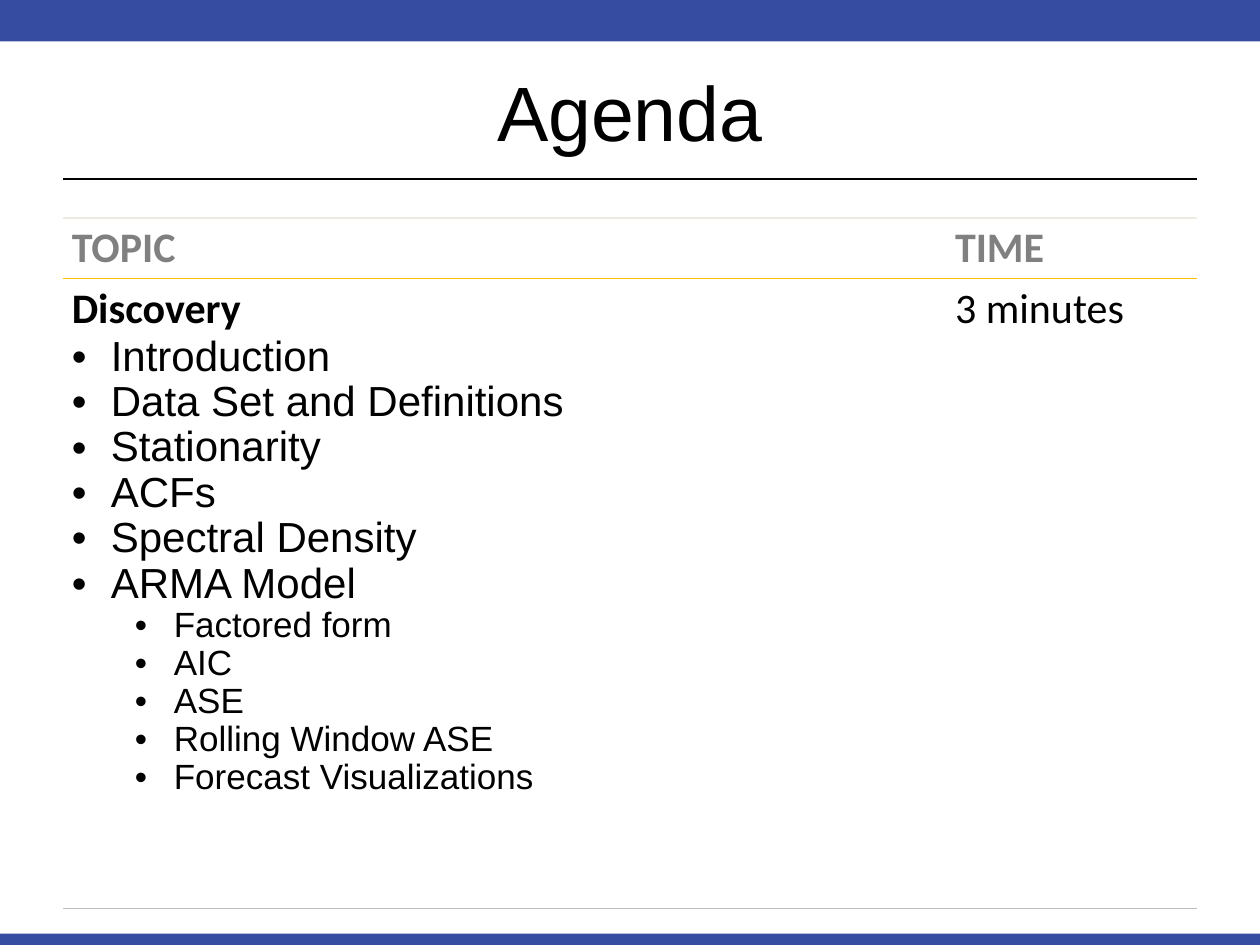
from typing import NamedTuple

from lxml.etree import SubElement
from pptx import Presentation
from pptx.dml.color import RGBColor
from pptx.enum.shapes import MSO_CONNECTOR as Conn, MSO_SHAPE as Shape
from pptx.enum.text import MSO_ANCHOR as Anchor, PP_ALIGN as Align
from pptx.oxml import parse_xml
from pptx.oxml.ns import nsdecls, qn
from pptx.util import Inches, Pt

BLUE, BLACK, GREY = "354CA1", "000000", "808080"
GOLD, CREAM, SILVER = "FFC000", "EEECE1", "BFBFBF"
PLAIN = "{2D5ABB26-0587-4C30-8999-92F81FD0307C}"
LEFT, WIDTH = 0.5, 9


class Bar(NamedTuple):
    top: float
    height: float


class Line(NamedTuple):
    text: str
    size: int = 24
    font: str = "Arial"
    color: str = BLACK
    bold: bool = False
    level: int = 0
    bullet: bool = False


class Row(NamedTuple):
    height: float
    cells: list[list[Line]]
    above: str
    below: str


def rgb(code: str) -> RGBColor:
    return RGBColor.from_string(code)


def add_bar(slide, bar: Bar) -> None:
    rect = slide.shapes.add_shape(
        Shape.RECTANGLE, 0, Inches(bar.top), Inches(10), Inches(bar.height))
    rect.shadow.inherit = False
    rect.fill.solid()
    rect.fill.fore_color.rgb = rgb(BLUE)
    rect.line.fill.background()


def add_rule(slide, top: float) -> None:
    rule = slide.shapes.add_connector(
        Conn.STRAIGHT, Inches(LEFT), Inches(top), Inches(LEFT + WIDTH), Inches(top))
    rule.line.color.rgb = rgb(BLACK)
    rule.line.width = Pt(1.25)
    SubElement(rule._element.spPr, qn("a:effectLst"))


def write(para, line: Line) -> None:
    para.text = line.text
    font = para.runs[0].font
    font.size, font.name, font.bold = Pt(line.size), line.font, line.bold
    font.color.rgb = rgb(line.color)
    if line.bullet:
        para.level = line.level
        para.line_spacing = 0.97
        props = para._p.get_or_add_pPr()
        props.set("marL", str(Inches(0.31 + 0.5 * line.level)))
        props.set("indent", str(Inches(-0.31)))
        SubElement(props, qn("a:buFont")).set("typeface", "Arial")
        SubElement(props, qn("a:buChar")).set("char", "•")


def fill_text(frame, lines: list[Line]) -> None:
    for i, line in enumerate(lines):
        write(frame.add_paragraph() if i else frame.paragraphs[0], line)


def add_title(slide, line: Line) -> None:
    box = slide.shapes.add_textbox(
        Inches(LEFT), Inches(0.25), Inches(WIDTH), Inches(1.25))
    frame = box.text_frame
    frame.word_wrap = True
    frame.vertical_anchor = Anchor.MIDDLE
    fill_text(frame, [line])
    frame.paragraphs[0].alignment = Align.CENTER


def set_edges(cell, above: str, below: str) -> None:
    props = cell._tc.get_or_add_tcPr()
    for i, (tag, color) in enumerate((("lnT", above), ("lnB", below))):
        props.insert(i, parse_xml(
            f'<a:{tag} {nsdecls("a")} w="{Pt(1)}"><a:solidFill>'
            f'<a:srgbClr val="{color}"/></a:solidFill></a:{tag}>'))


def add_grid(slide, top: float, cols: list[float], rows: list[Row]) -> None:
    height = sum(row.height for row in rows)
    grid = slide.shapes.add_table(
        len(rows), len(cols), Inches(LEFT), Inches(top),
        Inches(WIDTH), Inches(height)).table
    grid.first_row = grid.horz_banding = False
    grid._tbl.tblPr.find(qn("a:tableStyleId")).text = PLAIN
    for col, width in zip(grid.columns, cols):
        col.width = Inches(width)
    for r, row in enumerate(rows):
        grid.rows[r].height = Inches(row.height)
        for c, lines in enumerate(row.cells):
            cell = grid.cell(r, c)
            cell.margin_left = cell.margin_right = Inches(0.07)
            cell.margin_top = cell.margin_bottom = Inches(0.04)
            cell.fill.background()
            set_edges(cell, row.above, row.below)
            fill_text(cell.text_frame, lines)


TOPICS = ["Introduction", "Data Set and Definitions", "Stationarity",
          "ACFs", "Spectral Density", "ARMA Model"]
DETAILS = ["Factored form", "AIC", "ASE", "Rolling Window ASE",
           "Forecast Visualizations"]


def main() -> None:
    deck = Presentation()
    deck.slide_width, deck.slide_height = Inches(10), Inches(7.5)
    slide = deck.slides.add_slide(deck.slide_layouts[6])

    # Frame and title
    for bar in (Bar(7.41, 0.1), Bar(0, 0.33)):
        add_bar(slide, bar)
    add_rule(slide, 1.42)
    add_title(slide, Line("Agenda", 44))

    # Agenda table
    heads = [[Line(text, font="Calibri", color=GREY, bold=True)]
             for text in ("TOPIC", "TIME")]
    topics = [Line("Discovery", font="Calibri", bold=True)]
    topics += [Line(text, bullet=True) for text in TOPICS]
    topics += [Line(text, 20, level=1, bullet=True) for text in DETAILS]
    time = [Line("3 minutes", font="Calibri")]
    add_grid(slide, 1.73, [7.01, 1.99], [
        Row(0.48, heads, CREAM, GOLD),
        Row(5, [topics, time], GOLD, SILVER),
    ])

    deck.save("out.pptx")


if __name__ == "__main__":
    main()
